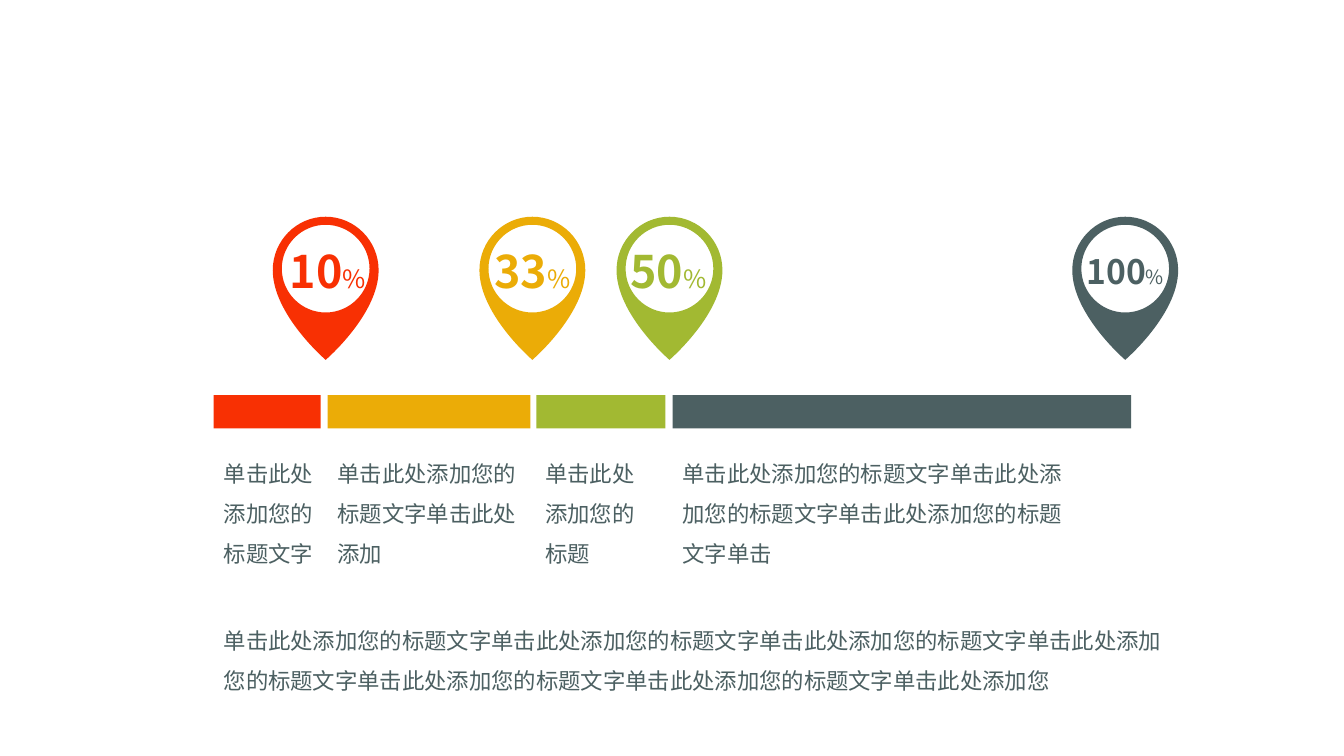
import itertools
from dataclasses import dataclass

import lxml.etree
import pptx
import pptx.dml.color
import pptx.enum.shapes
import pptx.enum.text
import pptx.oxml.ns
import pptx.util

Inches = pptx.util.Inches


@dataclass(frozen=True)
class Theme:
    font: str = "Noto Sans CJK SC"
    red: str = "F83003"
    gold: str = "EBAC07"
    green: str = "A2B932"
    slate: str = "4C6062"
    body: int = 16
    large: tuple = (32, 18)
    small: tuple = (24, 14)


class Painter:
    """Draw styled elements on the current slide."""

    def __init__(self, slide, theme):
        self.slide = slide
        self.theme = theme

    def paint(self, shape, color):
        shape.shadow.inherit = False
        shape.fill.solid()
        shape.fill.fore_color.rgb = pptx.dml.color.RGBColor.from_string(color)
        shape.line.fill.background()

    def style(self, run, size, color, bold=False):
        run.font.size = pptx.util.Pt(size)
        run.font.name = self.theme.font
        run.font.bold = bold
        run.font.color.rgb = pptx.dml.color.RGBColor.from_string(color)
        east = lxml.etree.SubElement(run.font._element, pptx.oxml.ns.qn("a:ea"))
        east.set("typeface", self.theme.font)

    def frame(self, left, top, width, height, wrap):
        box = self.slide.shapes.add_textbox(
            Inches(left), Inches(top), Inches(width), Inches(height))
        box.text_frame.word_wrap = wrap
        box.text_frame.auto_size = pptx.enum.text.MSO_AUTO_SIZE.SHAPE_TO_FIT_TEXT
        return box.text_frame

    def bar(self, left, top, width, height, color):
        shape = self.slide.shapes.add_shape(
            pptx.enum.shapes.MSO_SHAPE.RECTANGLE,
            Inches(left), Inches(top), Inches(width), Inches(height))
        self.paint(shape, color)

    def bend(self, shape, curves):
        name = pptx.oxml.ns.qn
        lines = list(shape._element.iter(name("a:lnTo")))
        for line, curve in zip(lines, curves):
            line.tag = name("a:cubicBezTo")
            for spot, (x, y) in enumerate(curve[:2]):
                point = lxml.etree.Element(name("a:pt"))
                point.set("x", str(x - shape.left))
                point.set("y", str(y - shape.top))
                line.insert(spot, point)

    def pin(self, mid, color):
        top, side, tip, half = 2.15, 2.68, 3.57, 1.05 / 2
        wide = 0.87 / 2
        high, low = 2.23, 3.1
        core, pull = (high + low) / 2, wide * 0.55
        rim = [
            [(-0.29, top), (-half, 2.39), (-half, side)],
            [(-half, 3.12), (0, tip), (0, tip)],
            [(0, tip), (half, 3.12), (half, side)],
            [(half, 2.39), (0.29, top), (0, top)],
        ]
        hole = [
            [(-pull, low), (-wide, core + pull), (-wide, core)],
            [(-wide, core - pull), (-pull, high), (0, high)],
            [(pull, high), (wide, core - pull), (wide, core)],
            [(wide, core + pull), (pull, low), (0, low)],
        ]
        rim, hole = ([[(Inches(mid + x), Inches(y)) for x, y in curve]
                      for curve in ring] for ring in (rim, hole))
        build = self.slide.shapes.build_freeform(*rim[-1][-1])
        build.add_line_segments([curve[-1] for curve in rim], close=True)
        build.move_to(*hole[-1][-1])
        build.add_line_segments([curve[-1] for curve in hole], close=True)
        shape = build.convert_to_shape()
        self.bend(shape, itertools.chain(rim, hole))
        self.paint(shape, color)

    def percent(self, mid, number, sizes, color):
        width, height = (0.98, 0.64) if sizes == self.theme.large else (1.02, 0.5)
        frame = self.frame(mid - width / 2, 2.69 - height / 2, width, height, False)
        line = frame.paragraphs[0]
        line.text = number
        line.alignment = pptx.enum.text.PP_ALIGN.CENTER
        line.add_run().text = "%"
        for run, size, bold in zip(line.runs, sizes, (True, False)):
            self.style(run, size, color, bold)

    def note(self, left, top, width, height, text):
        frame = self.frame(left, top, width, height, True)
        frame.text = text
        line = frame.paragraphs[0]
        line.line_spacing = 1.5
        self.style(line.runs[0], self.theme.body, self.theme.slate)


def main():
    deck = pptx.Presentation()
    deck.slide_width, deck.slide_height = Inches(13.33), Inches(7.5)
    theme = Theme()
    painter = Painter(deck.slides.add_slide(deck.slide_layouts[6]), theme)

    phrase = "单击此处添加您的标题文字"
    marks = [
        ("10", theme.red, 3.23, 3.25, theme.large),
        ("33", theme.gold, 5.28, 5.28, theme.large),
        ("50", theme.green, 6.64, 6.63, theme.large),
        ("100", theme.slate, 11.16, 11.16, theme.small),
    ]
    bars = [(2.12, 1.06), (3.25, 2.01), (5.32, 1.28), (6.67, 4.55)]
    notes = [
        (2.12, 1.12, phrase),
        (6.67, 4.14, phrase * 3 + "单击"),
        (3.25, 2, phrase + "单击此处添加"),
        (5.31, 1.29, "单击此处添加您的标题"),
    ]
    for number, color, tip, mid, sizes in reversed(marks):
        painter.pin(tip, color)
    for (left, width), mark in reversed(list(zip(bars, marks))):
        painter.bar(left, 3.92, width, 0.33, mark[1])
    for number, color, tip, mid, sizes in marks:
        painter.percent(mid, number, sizes, color)
    for left, width, text in notes:
        painter.note(left, 4.38, width, 1.31, text)
    painter.note(2.12, 6.04, 9.55, 0.91, phrase * 6 + "单击此处添加您")
    deck.save("out.pptx")


if __name__ == "__main__":
    main()
